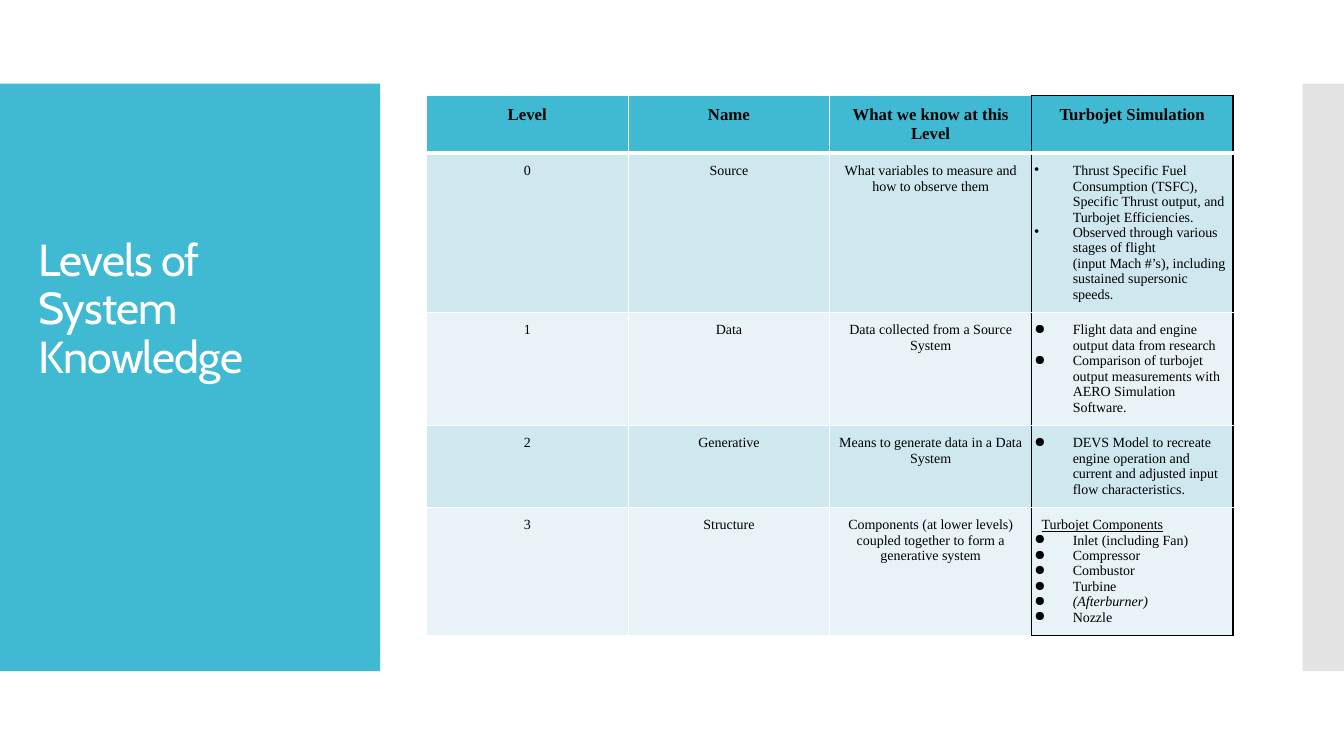
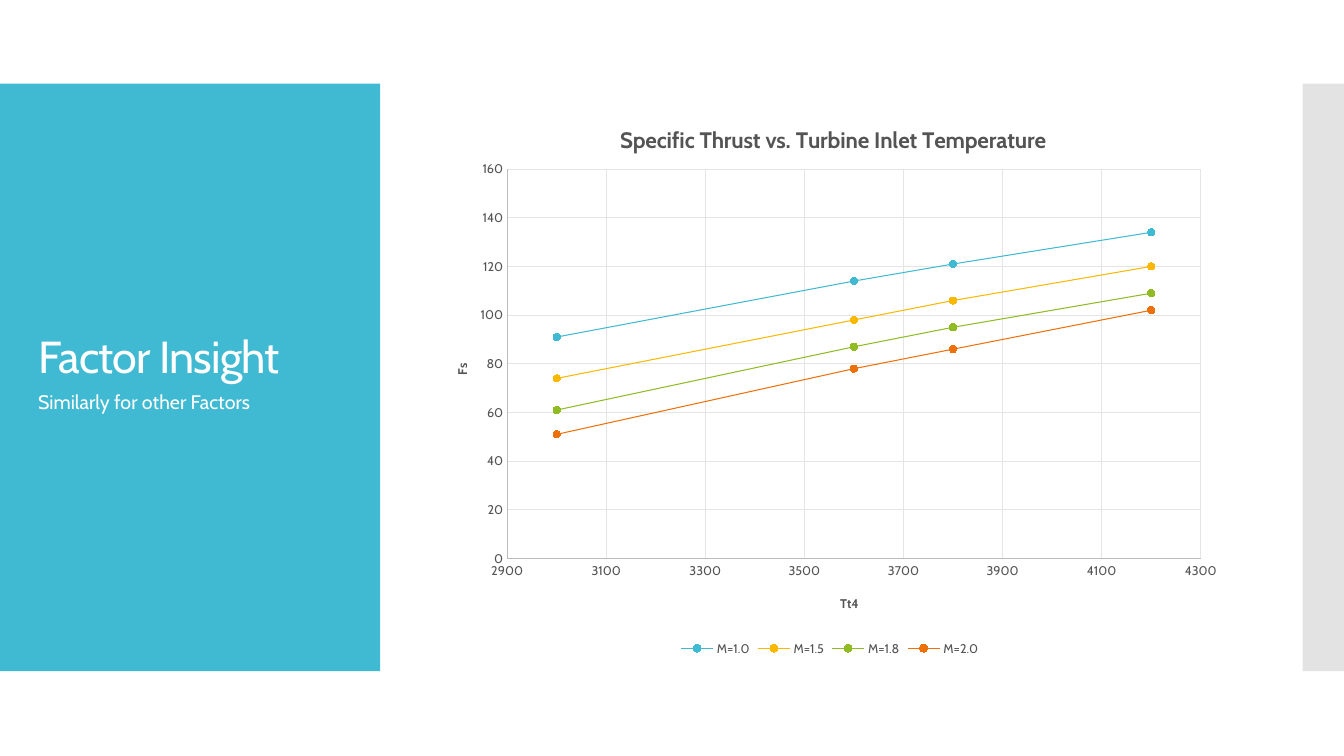
import lxml.etree
import pptx
import pptx.chart.data
import pptx.dml.color
import pptx.enum.chart
import pptx.enum.shapes
import pptx.enum.text
import pptx.oxml.ns
import pptx.util

RGB = pptx.dml.color.RGBColor
Inch, Pt, qn = pptx.util.Inches, pptx.util.Pt, pptx.oxml.ns.qn
ALIGN = pptx.enum.text.PP_ALIGN

TEAL = RGB(0x40, 0xBA, 0xD2)
SILVER = RGB(0xC8, 0xC8, 0xC8)
WHITE = RGB(0xFF, 0xFF, 0xFF)
BLACK = RGB(0, 0, 0)
DARK = RGB(0xCF, 0xE7, 0xEE)
LIGHT = RGB(0xE8, 0xF3, 0xF7)
GRAY = RGB(0x54, 0x54, 0x54)
AXIS = RGB(0xBB, 0xBB, 0xBB)
GRID = RGB(0xE5, 0xE5, 0xE5)
SANS, SERIF = "Cabin", "Times New Roman"

# Shared frame: (left, top, width, height) in inches
WIDE, HIGH = 13.33, 7.5
BANDS = [((0, 0.83, 3.77, 5.83), TEAL, 100), ((12.92, 0.83, 0.42, 5.83), SILVER, 50)]
HEAD = (0.28, 1.25, 3.1, 2.6)
SUB = (0.28, 3.82, 3.1, 2.54)
TABLE = (4.23, 0.95, 8, 5.17)
CHART = (4.23, 0.95, 8, 5.6)
TITLE = dict(name=SANS, size=Pt(32), color=WHITE)
NOTE = dict(name=SANS, size=Pt(14), color=WHITE)
TOP = dict(name=SERIF, size=Pt(12), color=BLACK, bold=True)
BODY = dict(name=SERIF, size=Pt(10), color=BLACK, bold=False)
TICK = dict(name=SANS, size=Pt(9), color=GRAY, bold=False)
LABEL = {**TICK, "bold": True}
CAPTION = {**LABEL, "size": Pt(16)}

# Table: level, name, what is known, then (mark, lines) of the simulation
COLS = ["Level", "Name", "What we know at this Level", "Turbojet Simulation"]
ROWS = [
    ("0", "Source", "What variables to measure and how to observe them", "•", [
        "Thrust Specific Fuel Consumption (TSFC), Specific Thrust output, "
        "and Turbojet Efficiencies.",
        "Observed through various stages of flight \v(input Mach #’s), "
        "including sustained supersonic speeds."]),
    ("1", "Data", "Data collected from a Source System", "●", [
        "Flight data and engine output data from research",
        "Comparison of turbojet output measurements with AERO Simulation Software."]),
    ("2", "Generative", "Means to generate data in a Data System", "●", [
        "DEVS Model to recreate engine operation and current and adjusted "
        "input flow characteristics."]),
    ("3", "Structure",
     "Components (at lower levels) coupled together to form a generative system", "●", [
         "Turbojet Components", "Inlet (including Fan)", "Compressor", "Combustor",
         "Turbine", "(Afterburner)", "Nozzle"]),
]
STYLES = {"Turbojet Components": {"underline": True}, "(Afterburner)": {"italic": True}}
TALL = [0.56, 1.57, 0.96, 0.81, 1.27]

# Chart
TEMPS = [3000, 3600, 3800, 4200]
LINES = [
    ("M=1.0", [91, 114, 121, 134], TEAL, RGB(0x39, 0xBF, 0xD9)),
    ("M=1.5", [74, 98, 106, 120], RGB(0xFA, 0xB9, 0x00), RGB(0xFA, 0xB9, 0x00)),
    ("M=1.8", [61, 87, 95, 109], RGB(0x90, 0xBB, 0x23), RGB(0x93, 0xC3, 0x1B)),
    ("M=2.0", [51, 78, 86, 102], RGB(0xEE, 0x70, 0x08), RGB(0xF6, 0x6F, 0x00)),
]
SCALES = {
    "category_axis": ("Tt4", (0.51, 0.88), (2900, 4300, 200)),
    "value_axis": ("Fs", (0.03, 0.47), (0, 160, 20)),
}


def box(area):
    return [Inch(n) for n in area]


def style(font, fmt):
    for key, val in fmt.items():
        if key == "color":
            font.color.rgb = val
        else:
            setattr(font, key, val)


def write(para, text, fmt):
    para.text = text
    for run in para.runs:
        style(run.font, fmt)
    for gap in para._p.findall(qn("a:br")):
        lxml.etree.SubElement(gap, qn("a:rPr"), sz=str(int(fmt["size"].pt * 100)))


def start(deck, text):
    """Add a slide with its two bands and its title."""
    slide = deck.slides.add_slide(deck.slide_layouts[5])
    for pos, (area, color, alpha) in enumerate(BANDS):
        band = slide.shapes.add_shape(pptx.enum.shapes.MSO_SHAPE.RECTANGLE, *box(area))
        band.shadow.inherit = False
        band.fill.solid()
        band.fill.fore_color.rgb = color
        band.line.fill.background()
        if alpha < 100:
            tint = band._element.spPr.find(".//" + qn("a:srgbClr"))
            lxml.etree.SubElement(tint, qn("a:alpha"), val=str(alpha * 1000))
        slide.shapes._spTree.insert(2 + pos, band._element)
    title = slide.shapes.title
    title.left, title.top, title.width, title.height = box(HEAD)
    frame = title.text_frame
    frame.word_wrap = True
    frame.auto_size = pptx.enum.text.MSO_AUTO_SIZE.NONE
    frame.vertical_anchor = pptx.enum.text.MSO_ANCHOR.BOTTOM
    para = frame.paragraphs[0]
    para.alignment, para.line_spacing = ALIGN.LEFT, 0.9
    write(para, text, TITLE)
    para.runs[0].font._element.set("spc", "-60")
    return slide


def edge(cell, side, color, width):
    line = lxml.etree.SubElement(cell._tc.get_or_add_tcPr(), qn("a:ln" + side),
                                 w=str(Pt(width)))
    fill = lxml.etree.SubElement(line, qn("a:solidFill"))
    lxml.etree.SubElement(fill, qn("a:srgbClr"), val=str(color))


def dress(cell, row, col):
    """Set the margins, borders and fill of a cell."""
    cell.margin_left = cell.margin_right = Inch(0.03)
    cell.margin_top = cell.margin_bottom = Inch(0.1)
    last = col == len(COLS) - 1
    dark = {"L": last, "R": col >= len(COLS) - 2, "T": last and row == 0,
            "B": last and row == len(ROWS)}
    for side, on in dark.items():
        edge(cell, side, BLACK if on else WHITE, 3 if row == 0 and side == "B" else 1)
    cell.fill.solid()
    cell.fill.fore_color.rgb = TEAL if row == 0 else DARK if row % 2 else LIGHT


def bullet(para, mark):
    props = para._p.get_or_add_pPr()
    props.set("marL", str(Inch(0.38)))
    props.set("indent", str(-Inch(0.38)))
    lxml.etree.SubElement(props, qn("a:buChar"), char=mark)


def levels(slide):
    table = slide.shapes.add_table(len(TALL), len(COLS), *box(TABLE)).table
    for row, tall in zip(table.rows, TALL):
        row.height = Inch(tall)
    for row, texts in enumerate([COLS] + [line[:3] for line in ROWS]):
        for col, text in enumerate(texts):
            para = table.cell(row, col).text_frame.paragraphs[0]
            para.alignment = ALIGN.CENTER
            write(para, text, BODY if row else TOP)
    for row, (*_, mark, items) in enumerate(ROWS, 1):
        frame = table.cell(row, 3).text_frame
        for pos, item in enumerate(items):
            para = frame.add_paragraph() if pos else frame.paragraphs[0]
            extra = STYLES.get(item, {})
            if "underline" in extra:
                para._p.get_or_add_pPr().set("marL", str(Inch(0.07)))
            else:
                bullet(para, mark)
            write(para, item, {**BODY, **extra})
    for row in range(len(TALL)):
        for col in range(len(COLS)):
            dress(table.cell(row, col), row, col)


def place(node, pos, spots):
    """Fix a chart part at shares of the chart's size."""
    lay = node.find(qn("c:layout"))
    if lay is None:
        lay = lxml.etree.Element(qn("c:layout"))
        node.insert(pos, lay)
    man = lxml.etree.SubElement(lay, qn("c:manualLayout"))
    if len(spots) == 4:
        lxml.etree.SubElement(man, qn("c:layoutTarget"), val="inner")
    for key in ("xMode", "yMode"):
        lxml.etree.SubElement(man, qn("c:" + key), val="edge")
    for key, val in zip("xywh", spots):
        lxml.etree.SubElement(man, qn("c:" + key), val=str(val))


def label(title, text, fmt, spots):
    write(title.text_frame.paragraphs[0], text, fmt)
    place(title._element, 1, spots)


def thrust(slide):
    data = pptx.chart.data.XyChartData()
    for name, vals, *_ in LINES:
        line = data.add_series(name)
        for temp, val in zip(TEMPS, vals):
            line.add_data_point(temp, val)
    kinds = pptx.enum.chart
    chart = slide.shapes.add_chart(kinds.XL_CHART_TYPE.XY_SCATTER_SMOOTH,
                                   *box(CHART), data).chart
    style(chart.font, TICK)
    chart.has_title = True
    label(chart.chart_title, "Specific Thrust vs. Turbine Inlet Temperature",
          CAPTION, (0.235, 0.045))
    chart.has_legend = True
    chart.legend.position = kinds.XL_LEGEND_POSITION.BOTTOM
    chart.legend.include_in_layout = False
    style(chart.legend.font, TICK)
    place(chart._chartSpace.chart.plotArea, 0, (0.1, 0.13, 0.86, 0.69))

    # Axes
    for kind, (text, spots, (low, high, step)) in SCALES.items():
        axis = getattr(chart, kind)
        fmt = dict(minimum_scale=low, maximum_scale=high, major_unit=step,
                   has_major_gridlines=True, has_title=True,
                   major_tick_mark=kinds.XL_TICK_MARK.NONE,
                   minor_tick_mark=kinds.XL_TICK_MARK.NONE)
        for key, val in fmt.items():
            setattr(axis, key, val)
        style(axis.tick_labels.font, TICK)
        for line, color in ((axis.format.line, AXIS),
                            (axis.major_gridlines.format.line, GRID)):
            line.color.rgb, line.width = color, Pt(0.75)
        label(axis.axis_title, text, LABEL, spots)
        if kind == "value_axis":
            turn = axis.axis_title._element.find(".//" + qn("a:bodyPr"))
            turn.set("rot", "-5400000")
            turn.set("vert", "horz")

    # Series
    plot = chart.plots[0]
    plot.vary_by_categories = False
    for line, (_, _, color, dot) in zip(plot.series, LINES):
        line.smooth = True
        line.format.line.color.rgb, line.format.line.width = color, Pt(0.75)
        mark = line.marker
        mark.style, mark.size = kinds.XL_MARKER_STYLE.CIRCLE, 5
        mark.format.fill.solid()
        mark.format.fill.fore_color.rgb = dot
        mark.format.line.color.rgb = dot


def main():
    deck = pptx.Presentation()
    deck.slide_width, deck.slide_height = Inch(WIDE), Inch(HIGH)
    levels(start(deck, "Levels of System Knowledge"))
    slide = start(deck, "Factor Insight")
    frame = slide.shapes.add_textbox(*box(SUB)).text_frame
    frame.word_wrap = True
    write(frame.paragraphs[0], "Similarly for other Factors", NOTE)
    thrust(slide)
    deck.save("out.pptx")


if __name__ == "__main__":
    main()
